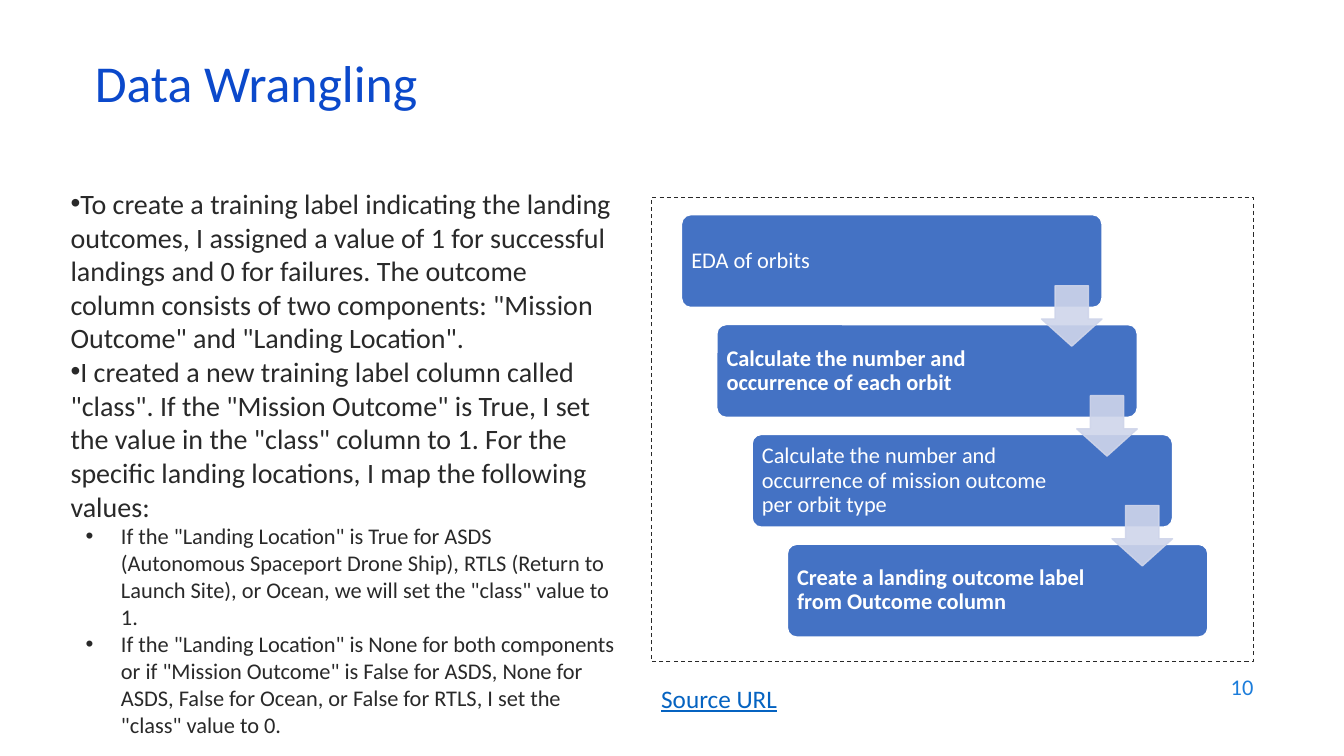
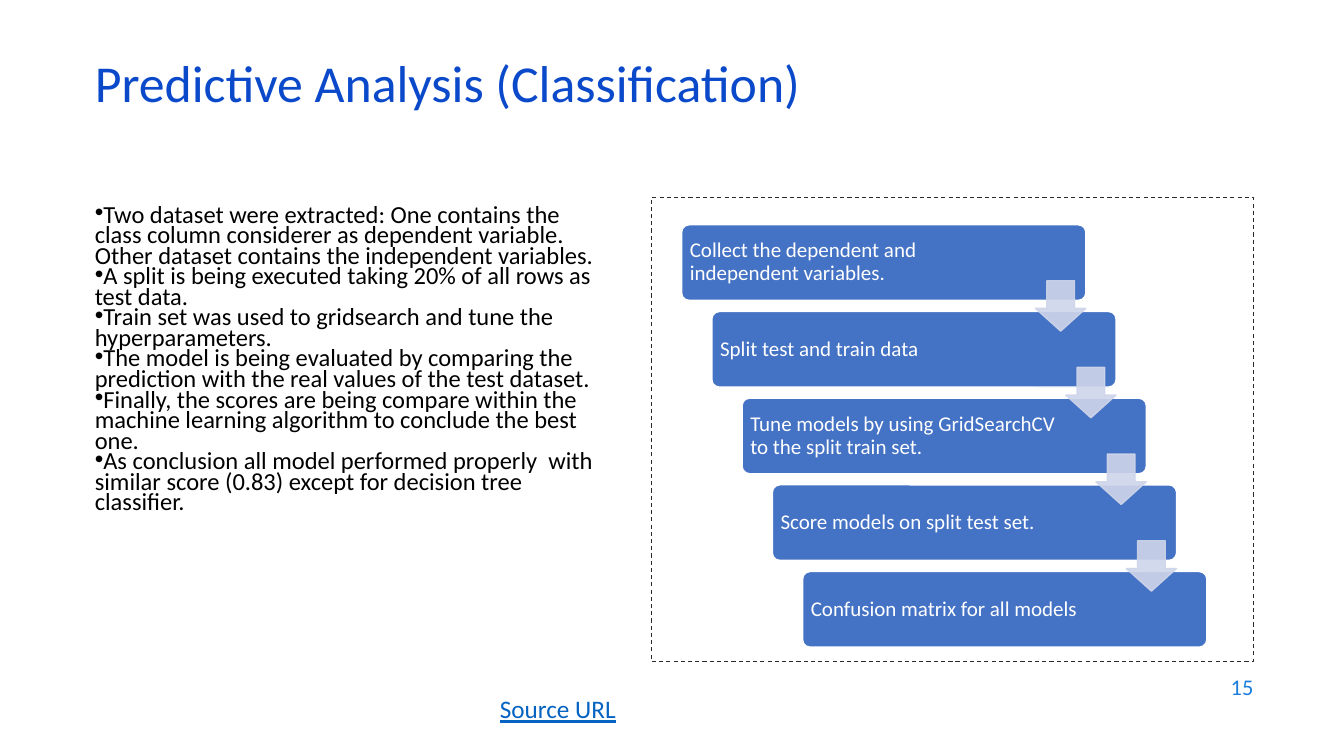
import pptx
import pptx.util
import pptx.dml.color
import pptx.enum.dml
import pptx.enum.shapes
import pptx.enum.text
import pptx.oxml
import pptx.oxml.ns

Inches, Pt = pptx.util.Inches, pptx.util.Pt
Shape = pptx.enum.shapes.MSO_SHAPE
Align = pptx.enum.text.PP_ALIGN
Anchor = pptx.enum.text.MSO_ANCHOR

# Shared style
FONT = "Calibri"
BLUE, PAGE, LINK, DARK = "0B49CB", "1C7DDB", "0563C1", "292929"
STEP, ARROW, WHITE, BLACK = "4472C4", "CFD5EA", "FFFFFF", "000000"
TITLE = (0.84, 0.59, 11.5, 0.6)
FRAME = (6.46, 1.96, 5.97, 4.6)
NUMBER = (9.53, 6.59, 3, 0.44)
LEVELS = [(0, 0), (0.5, -0.35)]  # left margin and first-line indent

# Content: list items are (level, text), steps are (text, bold)
SLIDES = [
    dict(
        title="Data Wrangling", page="10", link=(6.46, 6.73, 6.66, 0.4),
        body=dict(at=(0.6, 1.8, 5.6, 4.76), sizes=(20, 16), color=DARK, gap=1.0),
        items=[
            (0, 'To create a training label indicating the landing outcomes, I assigned a value of 1 '
                'for successful landings and 0 for failures. The outcome column consists of two '
                'components: "Mission Outcome" and "Landing Location".'),
            (0, 'I created a new training label column called "class". If the "Mission Outcome" is '
                'True, I set the value in the "class" column to 1. For the specific landing '
                'locations, I map the following values:'),
            (1, 'If the "Landing Location" is True for ASDS (Autonomous Spaceport Drone Ship), RTLS '
                '(Return to Launch Site), or Ocean, we will set the "class" value to 1.'),
            (1, 'If the "Landing Location" is None for both components or if "Mission Outcome" is '
                'False for ASDS, None for ASDS, False for Ocean, or False for RTLS, I set the '
                '"class" value to 0.'),
        ],
        flow=dict(start=(6.76, 2.13), move=(0.35, 1.09), box=(4.17, 0.92),
                  arrow=0.6, size=16, pad=0.07, right=1.02),
        steps=[
            ("EDA of orbits", False),
            ("Calculate the number and occurrence of each orbit", True),
            ("Calculate the number and occurrence of mission outcome per orbit type", False),
            ("Create a landing outcome label from Outcome column", True),
        ],
    ),
    dict(
        title="Predictive Analysis (Classification)", page="15", link=(4.86, 6.83, 6.67, 0.4),
        body=dict(at=(0.84, 2, 5.16, 4.76), sizes=(17.5,), color=BLACK, gap=0.7),
        items=[
            (0, "Two dataset were extracted: One contains the class column considerer as dependent "
                "variable. Other dataset contains the independent variables."),
            (0, "A split is being executed taking 20% of all rows as test data."),
            (0, "Train set was used to gridsearch and tune the hyperparameters."),
            (0, "The model is being evaluated by comparing the prediction with the real values of "
                "the test dataset."),
            (0, "Finally, the scores are being compare within the machine learning algorithm to "
                "conclude the best one."),
            (0, "As conclusion all model performed properly  with similar score (0.83) except for "
                "decision tree classifier."),
        ],
        flow=dict(start=(6.76, 2.23), move=(0.3, 0.86), box=(4.01, 0.75),
                  arrow=0.5, size=15, pad=0.06, right=0.85),
        steps=[
            ("Collect the dependent and independent variables.", False),
            ("Split test and train data", False),
            ("Tune models by using GridSearchCV to the split train set.", False),
            ("Score models on split test set.", False),
            ("Confusion matrix for all models", False),
        ],
    ),
]


def rgb(code):
    return pptx.dml.color.RGBColor.from_string(code)


def place(shape, at):
    shape.left, shape.top, shape.width, shape.height = map(Inches, at)


def write(para, text, size, color, bold=False, under=False):
    run = para.add_run()
    run.text = text
    font = run.font
    font.name, font.size = FONT, Pt(size)
    font.bold, font.underline = bold, under
    font.color.rgb = rgb(color)


def setup(shape, anchor):
    frame = shape.text_frame
    frame.word_wrap = True
    frame.auto_size = pptx.enum.text.MSO_AUTO_SIZE.NONE
    frame.vertical_anchor = anchor
    return frame


def element(parent, tag, **attrs):
    node = pptx.oxml.parse_xml(f"<a:{tag} {pptx.oxml.ns.nsdecls('a')}/>")
    for key, value in attrs.items():
        node.set(key, str(value))
    parent.append(node)


def add_label(slide, at, text, size, color, anchor=Anchor.TOP, align=Align.LEFT, under=False):
    label = slide.shapes.add_textbox(*map(Inches, at))
    para = setup(label, anchor).paragraphs[0]
    para.alignment = align
    write(para, text, size, color, under=under)


def add_shape(slide, kind, at, fill, line, width):
    shape = slide.shapes.add_shape(kind, *map(Inches, at))
    shape.shadow.inherit = False
    if fill:
        shape.fill.solid()
        shape.fill.fore_color.rgb = rgb(fill)
    else:
        shape.fill.background()
    shape.line.color.rgb = rgb(line)
    shape.line.width = Pt(width)
    return shape


def fill_title(shape, text):
    para = setup(shape, Anchor.MIDDLE).paragraphs[0]
    para.alignment, para.line_spacing = Align.LEFT, 0.7
    write(para, text, 37, BLUE)


def fill_body(shape, items, at, sizes, color, gap):
    place(shape, at)
    frame = setup(shape, Anchor.TOP)
    for i, (level, text) in enumerate(items):
        para = frame.add_paragraph() if i else frame.paragraphs[0]
        para.level = level
        props = para._p.get_or_add_pPr()
        left, indent = LEVELS[level]
        props.set("marL", str(Inches(left)))
        props.set("indent", str(Inches(indent)))
        element(props, "buFont", typeface="Arial")
        element(props, "buChar", char="•")
        para.line_spacing, para.space_before = gap, Pt(0)
        write(para, text, sizes[level], color)


def add_flow(slide, steps, start, move, box, arrow, size, pad, right):
    spots = [(start[0] + i * move[0], start[1] + i * move[1]) for i in range(len(steps))]
    # Step boxes
    for (text, bold), (x, y) in zip(steps, spots):
        step = add_shape(slide, Shape.ROUNDED_RECTANGLE, (x, y, *box), STEP, WHITE, 1)
        step.adjustments[0] = 0.1
        frame = setup(step, Anchor.MIDDLE)
        frame.margin_left = frame.margin_top = frame.margin_bottom = Inches(pad)
        frame.margin_right = Inches(right)
        para = frame.paragraphs[0]
        para.alignment, para.line_spacing = Align.LEFT, 0.9
        write(para, text, size, WHITE, bold)
    # Arrows end at the box's right edge, centred on the gap below it
    for x, y in spots[:-1]:
        middle = y + (box[1] + move[1]) / 2
        at = (x + box[0] - arrow, middle - arrow / 2, arrow, arrow)
        down = add_shape(slide, Shape.DOWN_ARROW, at, ARROW, ARROW, 1)
        down.adjustments[0], down.adjustments[1] = 0.55, 0.45
        for color in down._element.spPr.iter(pptx.oxml.ns.qn("a:srgbClr")):
            element(color, "alpha", val=90000)


def main():
    deck = pptx.Presentation()
    deck.slide_width, deck.slide_height = Inches(13.33), Inches(7.5)
    layout = deck.slide_layouts[1]
    place(layout.placeholders[0], TITLE)
    for page in SLIDES:
        slide = deck.slides.add_slide(layout)
        fill_title(slide.shapes.title, page["title"])
        fill_body(slide.placeholders[1], page["items"], **page["body"])
        add_label(slide, NUMBER, page["page"], 16, PAGE, Anchor.MIDDLE, Align.RIGHT)
        border = add_shape(slide, Shape.RECTANGLE, FRAME, None, DARK, 0.75)
        border.line.dash_style = pptx.enum.dml.MSO_LINE.DASH
        add_flow(slide, page["steps"], **page["flow"])
        add_label(slide, page["link"], "Source URL", 18, LINK, under=True)
    deck.save("out.pptx")


if __name__ == "__main__":
    main()
